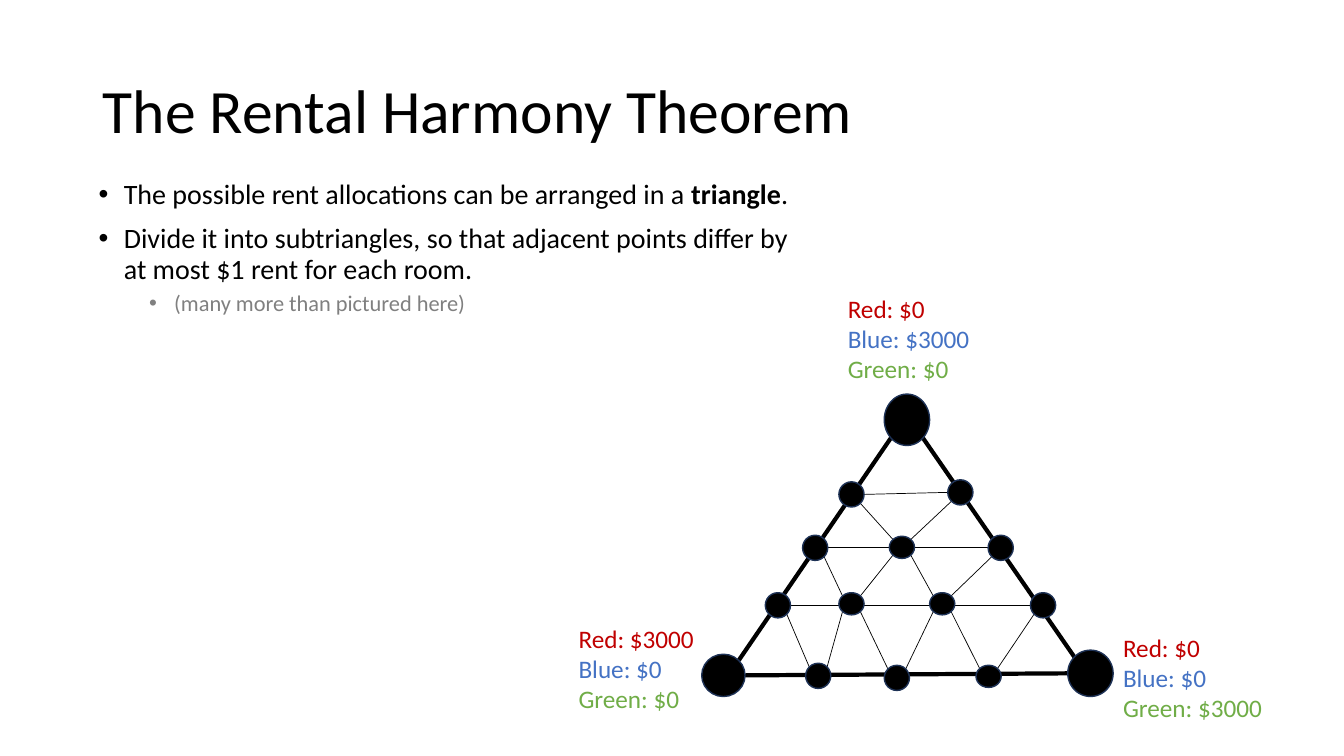
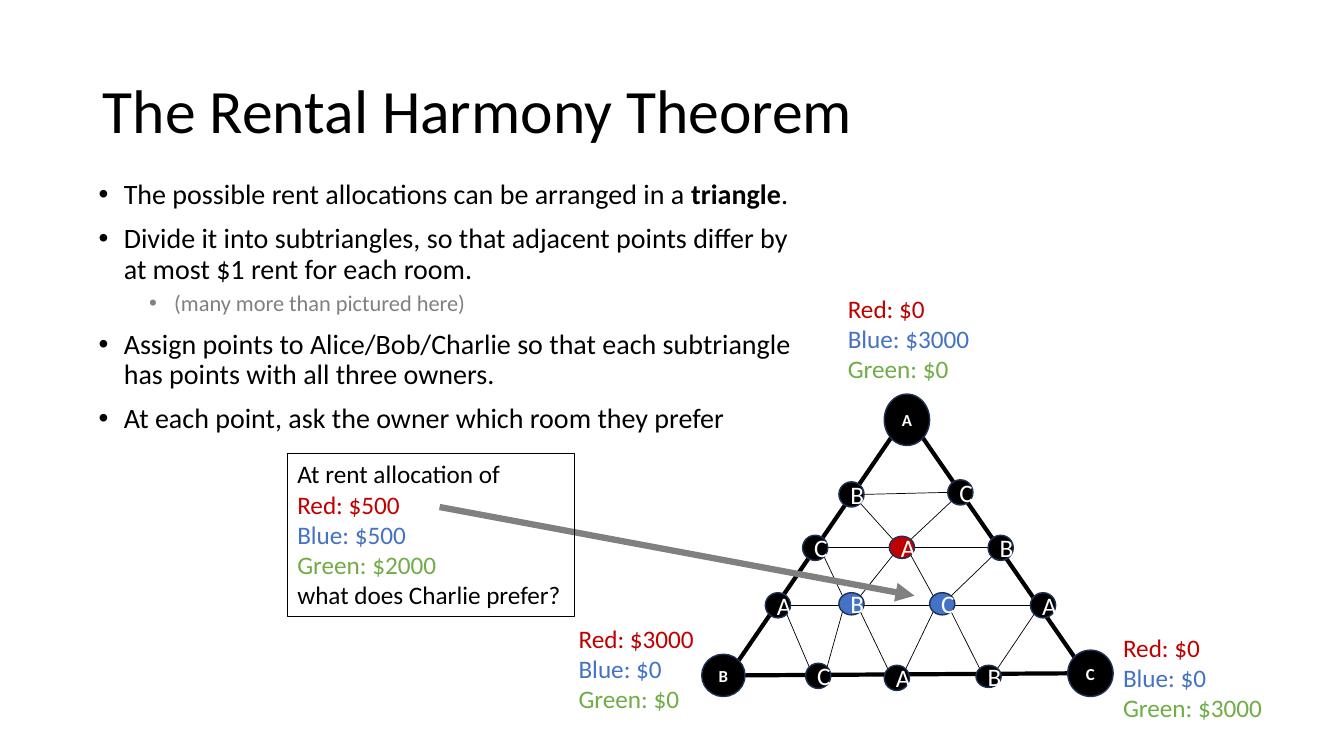
from math import sqrt

from lxml.etree import SubElement
from pptx import Presentation
from pptx.dml.color import RGBColor
from pptx.enum.shapes import MSO_CONNECTOR, MSO_SHAPE
from pptx.enum.text import MSO_ANCHOR, MSO_AUTO_SIZE as AUTO_SIZE, PP_ALIGN
from pptx.oxml.ns import qn
from pptx.util import Inches, Pt

FONT = "Calibri"
BLACK = RGBColor(0x00, 0x00, 0x00)
WHITE = RGBColor(0xFF, 0xFF, 0xFF)
GRAY = RGBColor(0x80, 0x80, 0x80)
NAVY = RGBColor(0x1E, 0x32, 0x56)
RED = RGBColor(0xC0, 0x00, 0x00)
BLUE = RGBColor(0x44, 0x72, 0xC4)
GREEN = RGBColor(0x70, 0xAD, 0x47)

# Triangle points, row by row from the apex: left, top, width, height
POINT_ROWS = [
    [(8.77, 3.91, 0.45, 0.51)],
    [(8.32, 4.78, 0.25, 0.25), (9.4, 4.76, 0.25, 0.25)],
    [(7.96, 5.31, 0.25, 0.25), (8.82, 5.32, 0.25, 0.22), (9.8, 5.31, 0.25, 0.25)],
    [(7.59, 5.88, 0.25, 0.25), (8.32, 5.88, 0.25, 0.22),
     (9.22, 5.88, 0.25, 0.22), (10.22, 5.88, 0.25, 0.25)],
    [(6.96, 6.49, 0.43, 0.42), (7.99, 6.58, 0.25, 0.25), (8.77, 6.6, 0.25, 0.25),
     (9.68, 6.6, 0.25, 0.22), (10.59, 6.45, 0.45, 0.46)],
]
APEX, LEFT_CORNER, RIGHT_CORNER = POINT_ROWS[0][0], POINT_ROWS[-1][0], POINT_ROWS[-1][-1]
CORNERS = (APEX, LEFT_CORNER, RIGHT_CORNER)
OWNERS = "ABC"
ROOM_CHOICES = {(2, 1): RED, (3, 1): BLUE, (3, 2): BLUE}

DIAGONAL = 1 / sqrt(2)
EAST, WEST = (1, 0), (-1, 0)
NE, NW = (DIAGONAL, -DIAGONAL), (-DIAGONAL, -DIAGONAL)
SE, SW = (DIAGONAL, DIAGONAL), (-DIAGONAL, DIAGONAL)

# Each bullet: level, list of (text, bold)
DIVIDE_BULLETS = [
    (0, [("The possible rent allocations can be arranged in a ", False),
         ("triangle", True), (".", False)]),
    (0, [("Divide it into subtriangles, so that adjacent points differ by "
          "at most $1 rent for each room.", False)]),
    (1, [("(many more than pictured here)", False)]),
]
ASSIGN_BULLETS = [
    (0, [("Assign points to Alice/Bob/Charlie so that each subtriangle "
          "has points with all three owners.", False)]),
    (0, [("At each point, ask the owner which room they prefer", False)]),
]


def add_text(p, text, size=18, color=BLACK, bold=False):
    r = p.add_run()
    r.text = text
    r.font.name = FONT
    r.font.size = Pt(size)
    r.font.bold = bold
    r.font.color.rgb = color


def paragraph(tf, index):
    return tf.paragraphs[0] if index == 0 else tf.add_paragraph()


def add_title(s, text):
    title = s.shapes.title
    title.left, title.top = Inches(0.92), Inches(0.4)
    title.width, title.height = Inches(11.5), Inches(1.45)
    tf = title.text_frame
    tf.auto_size = AUTO_SIZE.NONE
    tf.vertical_anchor = MSO_ANCHOR.MIDDLE
    p = tf.paragraphs[0]
    p.alignment = PP_ALIGN.LEFT
    p.line_spacing = 0.9
    add_text(p, text, size=44)


def add_bullets(s, bullets):
    box = s.shapes.add_textbox(Inches(0.88), Inches(1.74), Inches(7.27), Inches(4.48))
    tf = box.text_frame
    tf.word_wrap = True
    for i, (level, runs) in enumerate(bullets):
        p = paragraph(tf, i)
        p.level = level
        p.line_spacing = 0.9
        p.space_before = Pt(5 if level else 10)
        pPr = p._p.get_or_add_pPr()
        pPr.set("marL", str(Inches(0.25 + 0.5 * level)))
        pPr.set("indent", str(Inches(-0.25)))
        SubElement(pPr, qn("a:buFont"), typeface="Arial")
        SubElement(pPr, qn("a:buChar"), char="•")
        for text, bold in runs:
            add_text(p, text, size=16 if level else 20,
                     color=GRAY if level else BLACK, bold=bold)


def add_line(s, start, end, width=0.5, color=BLACK, arrow=False):
    line = s.shapes.add_connector(MSO_CONNECTOR.STRAIGHT, *map(Inches, start + end))
    line.line.color.rgb = color
    line.line.width = Pt(width)
    if arrow:
        SubElement(line.line._get_or_add_ln(), qn("a:tailEnd"), type="triangle")
    SubElement(line._element.spPr, qn("a:effectLst"))


def rim(point, direction):
    """Spot on a point's outline in the given direction from its centre."""
    left, top, width, height = point
    dx, dy = direction
    return left + width / 2 * (1 + dx), top + height / 2 * (1 + dy)


def add_edges(s):
    for start, out, end, into in ((APEX, SE, RIGHT_CORNER, NW),
                                  (APEX, SW, LEFT_CORNER, NE),
                                  (LEFT_CORNER, EAST, RIGHT_CORNER, WEST)):
        add_line(s, rim(start, out), rim(end, into), width=3)
    for row, below in zip(POINT_ROWS[1:-1], POINT_ROWS[2:]):
        add_line(s, rim(row[0], EAST), rim(row[-1], WEST))
        for col, point in enumerate(row):
            if col > 0:
                add_line(s, rim(point, SW), rim(below[col], NE))
            if point != row[-1]:
                add_line(s, rim(point, SE), rim(below[col + 1], NW))


def add_point(s, point, fill, owner):
    dot = s.shapes.add_shape(MSO_SHAPE.OVAL, *map(Inches, point))
    dot.shadow.inherit = False
    dot.fill.solid()
    dot.fill.fore_color.rgb = fill
    dot.line.color.rgb = NAVY
    dot.line.width = Pt(1)
    if owner:
        tf = dot.text_frame
        tf.vertical_anchor = MSO_ANCHOR.MIDDLE
        tf.paragraphs[0].alignment = PP_ALIGN.CENTER
        corner = point in CORNERS
        add_text(tf.paragraphs[0], owner, size=12 if corner else 18,
                 color=WHITE, bold=corner)


def rent_lines(red, blue, green):
    return [(f"Red: ${red}", RED), (f"Blue: ${blue}", BLUE), (f"Green: ${green}", GREEN)]


def add_label(s, left, top, width, height, lines, framed=False):
    box = s.shapes.add_textbox(*map(Inches, (left, top, width, height)))
    tf = box.text_frame
    tf.word_wrap = False
    tf.auto_size = AUTO_SIZE.SHAPE_TO_FIT_TEXT
    for i, (text, color) in enumerate(lines):
        add_text(paragraph(tf, i), text, color=color)
    if framed:
        box.line.color.rgb = BLACK
        box.line.width = Pt(0.75)


def add_triangle(s, assigned):
    """Draw the divided triangle, with owners and preferred rooms if assigned."""
    add_edges(s)
    for row, points in enumerate(POINT_ROWS):
        for col, point in enumerate(points):
            owner = OWNERS[(row + col) % 3] if assigned else ""
            fill = ROOM_CHOICES.get((row, col), BLACK) if assigned else BLACK
            add_point(s, point, fill, owner)
    add_label(s, 5.64, 6.13, 1.36, 1.01, rent_lines(3000, 0, 0))
    add_label(s, 8.31, 2.86, 1.42, 1.01, rent_lines(0, 3000, 0))
    add_label(s, 11.04, 6.22, 1.6, 1.01, rent_lines(0, 0, 3000))


def add_theorem_slide(prs, bullets, assigned=False):
    s = prs.slides.add_slide(prs.slide_layouts[5])
    add_title(s, "The Rental Harmony Theorem")
    add_bullets(s, bullets)
    add_triangle(s, assigned)
    return s


def add_question(s):
    add_line(s, (4.36, 5.03), (9.07, 5.91), width=4.5, color=GRAY, arrow=True)
    lines = [("At rent allocation of", BLACK), *rent_lines(500, 500, 2000),
             ("what does Charlie prefer?", BLACK)]
    add_label(s, 2.85, 4.5, 2.85, 1.62, lines, framed=True)


def main():
    prs = Presentation()
    prs.slide_width, prs.slide_height = Inches(13.33), Inches(7.5)
    add_theorem_slide(prs, DIVIDE_BULLETS)
    s = add_theorem_slide(prs, DIVIDE_BULLETS + ASSIGN_BULLETS, assigned=True)
    add_question(s)
    prs.save("out.pptx")


if __name__ == "__main__":
    main()
